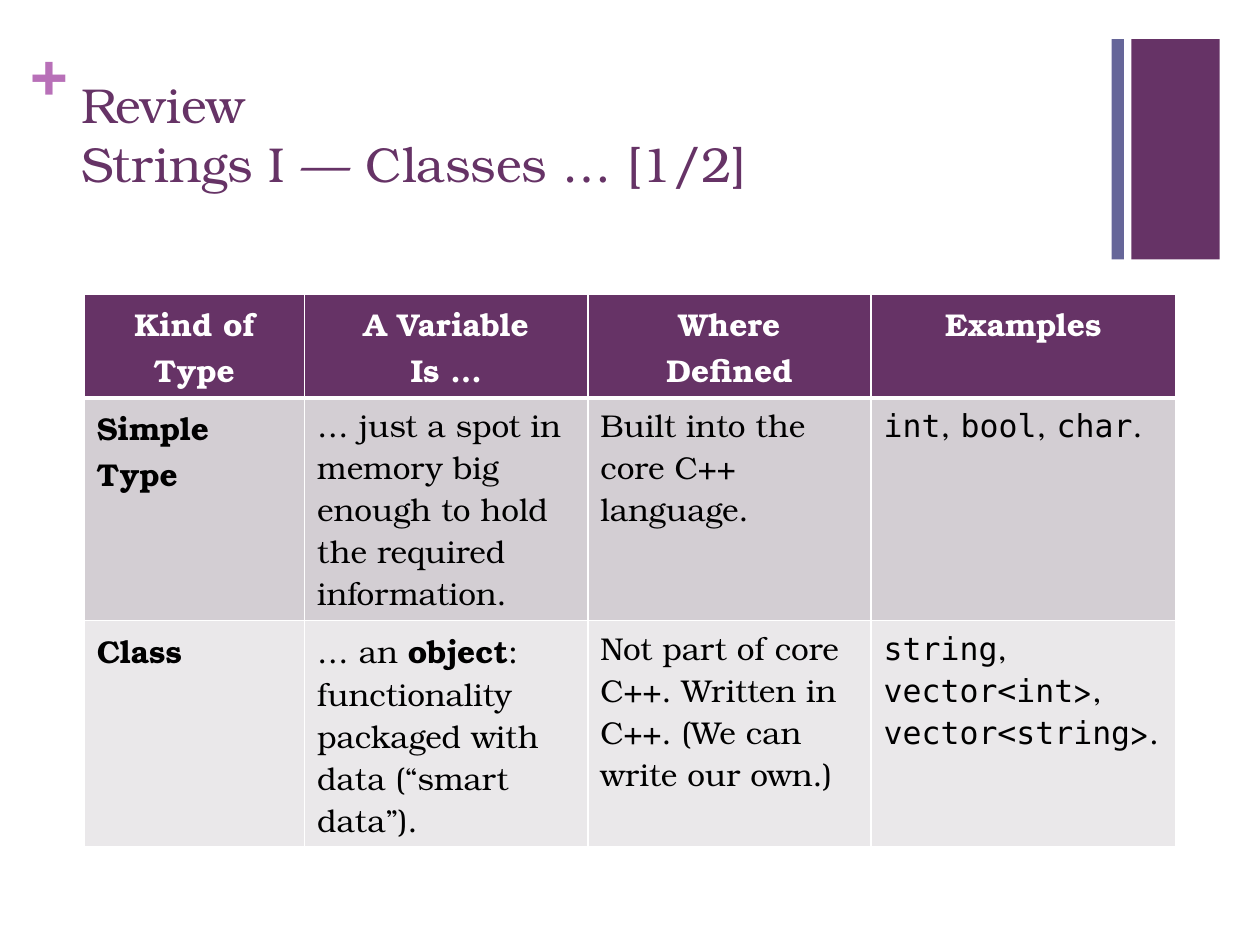
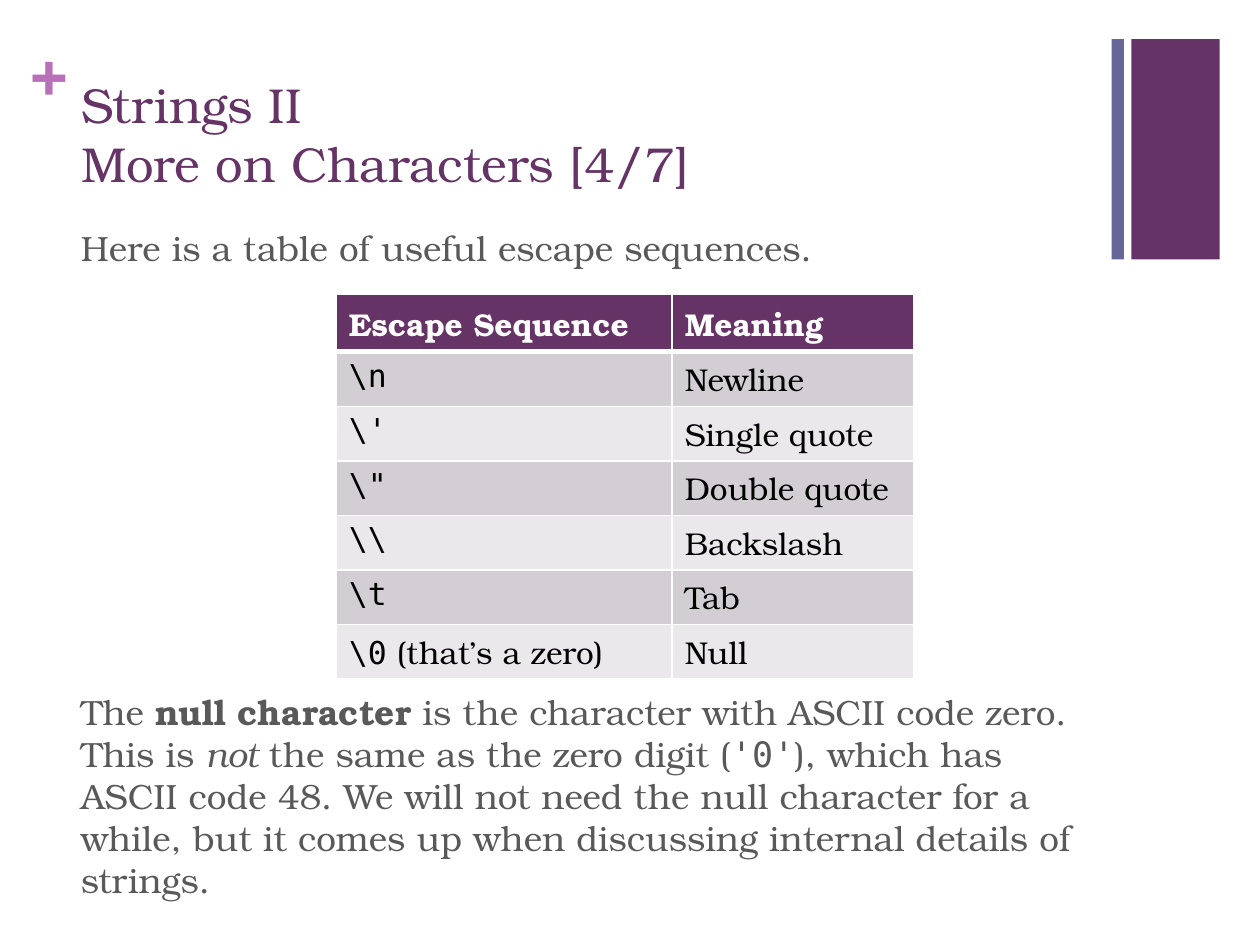
import pptx
import pptx.util
import pptx.dml.color
import pptx.enum.shapes
import pptx.enum.text
import pptx.oxml
import pptx.oxml.ns
from pptx.util import Cm, Pt

COLORS = {
    "plum": "663366", "slate": "666699", "orchid": "B870B8",
    "white": "FFFFFF", "black": "000000", "gray": "595959",
    "dark_band": "D3CED3", "light_band": "EAE8EA",
}
SERIF, MONO = "TeX Gyre Bonum", "DejaVu Sans Mono"
ALIGN = pptx.enum.text.PP_ALIGN
ANCHOR = pptx.enum.text.MSO_ANCHOR
TITLE_ONLY = 5
TEXT_LEFT, TEXT_WIDTH = 1.38, 20.98

# Changes that a marked run makes to the font of its paragraph
MARKS = {
    "code": {"name": MONO},
    "bold": {"bold": True},
    "italic": {"italic": True},
}


def rgb(key):
    return pptx.dml.color.RGBColor.from_string(COLORS[key])


def apply(target, values):
    for attribute, value in values.items():
        setattr(target, attribute, value)


def write(paragraph, content, size, color, bold=False, **layout):
    """Write a string, or a list of strings and (text, mark) pairs."""
    apply(paragraph, layout)
    for piece in [content] if isinstance(content, str) else content:
        text, mark = (piece, None) if isinstance(piece, str) else piece
        font_values = {"name": SERIF, "size": Pt(size), "bold": bold,
                       "italic": False, **MARKS.get(mark, {})}
        for number, line in enumerate(text.split("\n")):
            if number:
                paragraph.add_line_break()
            run = paragraph.add_run()
            run.text = line
            apply(run.font, font_values)
            run.font.color.rgb = rgb(color)


def add_bar(slide, left, width, color):
    bar = slide.shapes.add_shape(pptx.enum.shapes.MSO_SHAPE.RECTANGLE,
                                 Cm(left), Cm(0.79), Cm(width), Cm(4.44))
    bar.shadow.inherit = False
    bar.fill.solid()
    bar.fill.fore_color.rgb = rgb(color)
    bar.line.fill.background()


def add_text_box(slide, left, top, width, height, **frame_values):
    frame = slide.shapes.add_textbox(Cm(left), Cm(top), Cm(width),
                                     Cm(height)).text_frame
    apply(frame, {"word_wrap": True, **frame_values})
    return frame


def add_titled_slide(deck, title_text):
    slide = deck.slides.add_slide(deck.slide_layouts[TITLE_ONLY])
    # Corner decoration
    add_bar(slide, 22.81, 1.78, "plum")
    add_bar(slide, 22.41, 0.25, "slate")
    plus = add_text_box(slide, 0.61, 0.63, 0.74, 1.55, word_wrap=False,
                        margin_left=0, margin_top=0, margin_right=0, margin_bottom=0)
    write(plus.paragraphs[0], "+", 36, "orchid", bold=True)
    # Title
    title = slide.shapes.title
    apply(title, {"left": Cm(TEXT_LEFT), "top": Cm(1.35),
                  "width": Cm(TEXT_WIDTH), "height": Cm(2.67)})
    apply(title.text_frame, {"word_wrap": True, "vertical_anchor": ANCHOR.MIDDLE,
                             "auto_size": pptx.enum.text.MSO_AUTO_SIZE.NONE})
    write(title.text_frame.paragraphs[0], title_text, 28, "plum",
          alignment=ALIGN.LEFT)
    return slide


def set_borders(cell, **widths):
    """Give white borders of 1 pt, or of the width named for a side."""
    properties = cell._tc.get_or_add_tcPr()
    for side in "LRTB":
        width = Pt(widths.get(side, 1))
        properties.append(pptx.oxml.parse_xml(
            f'<a:ln{side} {pptx.oxml.ns.nsdecls("a")} w="{width}"><a:solidFill>'
            f'<a:srgbClr val="{COLORS["white"]}"/></a:solidFill></a:ln{side}>'))


def add_grid(slide, left, column_widths, row_heights, rows,
             header_align=ALIGN.LEFT, bold_first_column=False):
    grid = slide.shapes.add_table(
        len(rows), len(column_widths), Cm(left), Cm(5.93),
        Cm(sum(column_widths)), Cm(sum(row_heights))).table
    for column, width in zip(grid.columns, column_widths):
        column.width = Cm(width)
    for r, (row, height) in enumerate(zip(rows, row_heights)):
        grid.rows[r].height = Cm(height)
        header = r == 0
        band = "plum" if header else ("light_band", "dark_band")[r % 2]
        for c, content in enumerate(row):
            cell = grid.cell(r, c)
            # The rule below the header is thicker than the others
            set_borders(cell, B=3 if header else 1, T=3 if r == 1 else 1)
            cell.fill.solid()
            cell.fill.fore_color.rgb = rgb(band)
            write(cell.text_frame.paragraphs[0], content, 18,
                  "white" if header else "black",
                  bold=header or (bold_first_column and c == 0),
                  alignment=header_align if header else ALIGN.LEFT)


def build_classes_slide(deck):
    slide = add_titled_slide(deck, "Review\nStrings I — Classes … [1/2]")
    rows = [
        ["Kind of\nType", "A Variable\nIs …", "Where\nDefined", "Examples"],
        ["Simple Type",
         "… just a spot in memory big enough to hold the required information.",
         "Built into the core C++ language.",
         [("int", "code"), ", ", ("bool", "code"), ", ", ("char", "code"), "."]],
        ["Class",
         ["… an ", ("object", "bold"),
          ": functionality packaged with data (“smart data”)."],
         "Not part of core C++. Written in C++. (We can write our own.)",
         [("string", "code"), ", ", ("vector<int", "code"), ">, ",
          ("vector<string", "code"), ">."]],
    ]
    add_grid(slide, 1.7, [4.44, 5.71, 5.71, 6.14], [2.09, 4.49, 4.56], rows,
             header_align=ALIGN.CENTER, bold_first_column=True)


def build_escapes_slide(deck):
    slide = add_titled_slide(deck, "Strings II\nMore on Characters [4/7]")
    # Text above and below the table
    body = add_text_box(slide, TEXT_LEFT, 4.45, TEXT_WIDTH, 13.13)
    write(body.paragraphs[0], "Here is a table of useful escape sequences.",
          20, "gray")
    null_note = [
        "The ", ("null character", "bold"),
        " is the character with ASCII code zero. This is ", ("not", "italic"),
        " the same as the zero digit (", ("'0'", "code"),
        "), which has ASCII code 48. We will not need the null character for a "
        "while, but it comes up when discussing internal details of strings.",
    ]
    write(body.add_paragraph(), null_note, 20, "gray", space_before=Pt(241))
    # Escape sequences
    meanings = {"\\n": "Newline", "\\'": "Single quote", '\\"': "Double quote",
                "\\\\": "Backslash", "\\t": "Tab"}
    rows = [["Escape Sequence", "Meaning"]]
    rows += [[[(escape, "code")], meaning] for escape, meaning in meanings.items()]
    rows.append([[("\\0", "code"), " (that’s a zero)"], "Null"])
    add_grid(slide, 6.78, [6.77, 4.87], [1.16] + [1.1] * 6, rows)


def main():
    deck = pptx.Presentation()
    apply(deck, {"slide_width": Cm(25.4), "slide_height": Cm(19.05)})
    build_classes_slide(deck)
    build_escapes_slide(deck)
    deck.save("out.pptx")


main()
